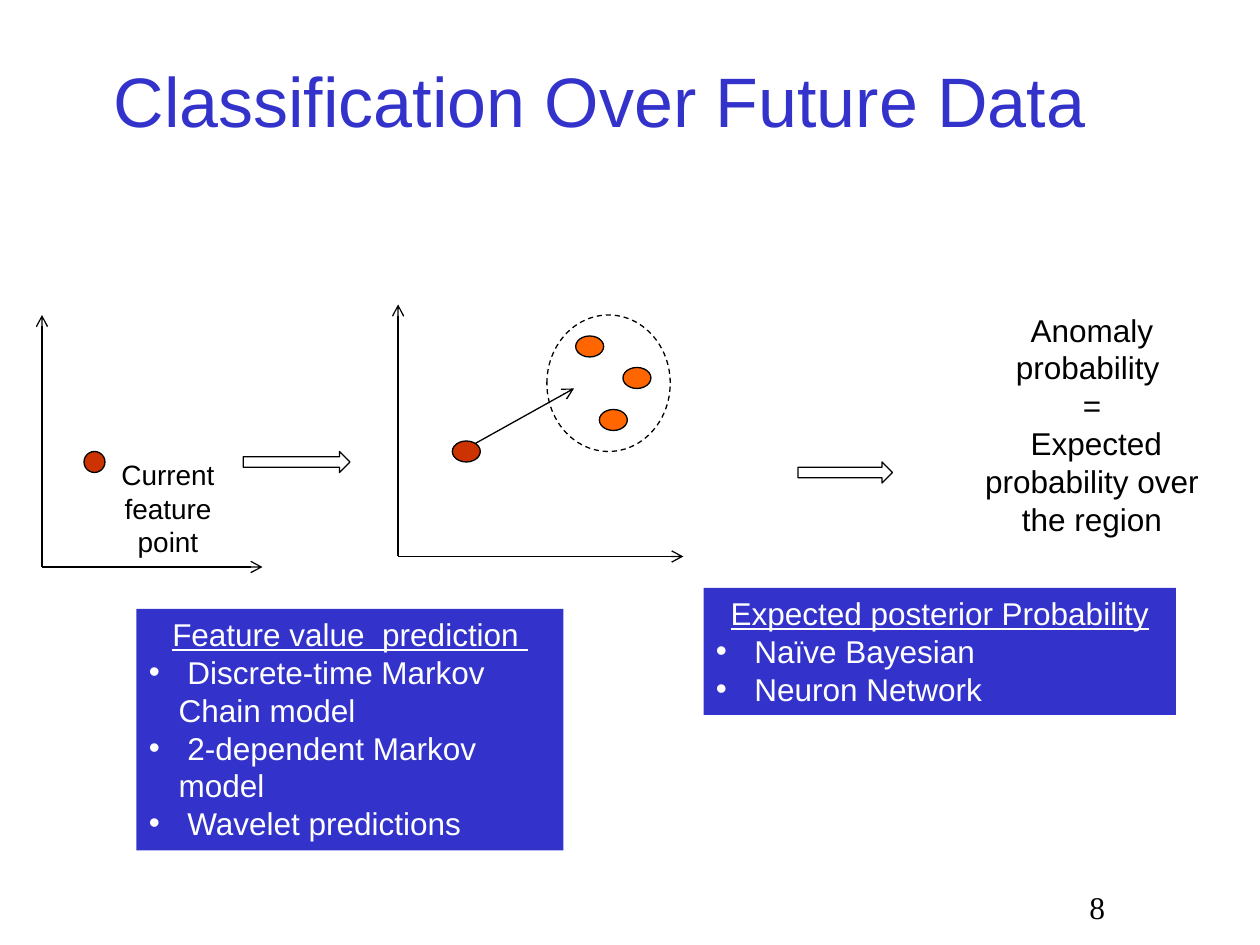
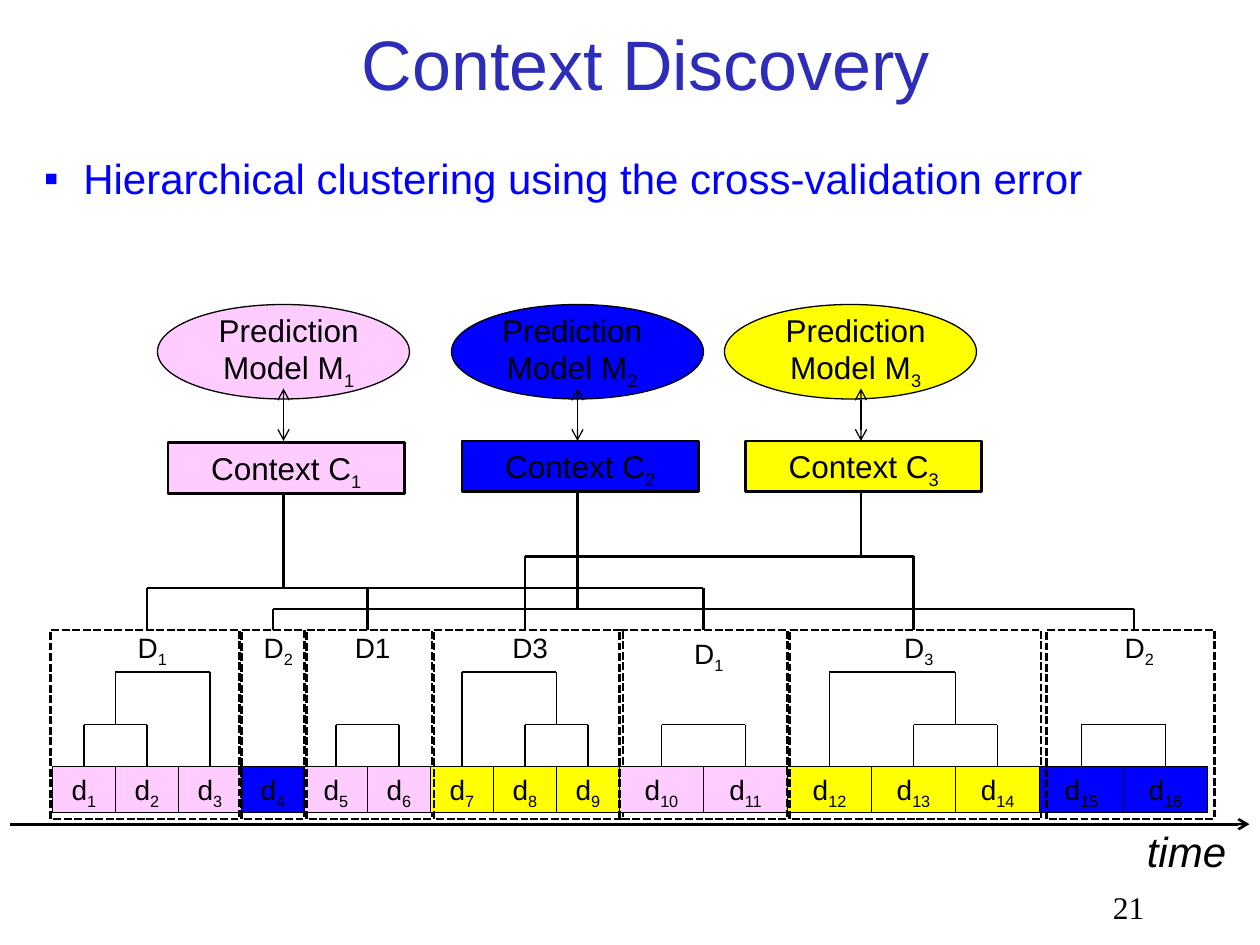
from lxml import etree
from pptx import Presentation
from pptx.dml.color import RGBColor
from pptx.enum.dml import MSO_LINE
from pptx.enum.shapes import MSO_CONNECTOR, MSO_SHAPE
from pptx.enum.text import MSO_ANCHOR, PP_ALIGN
from pptx.oxml.ns import qn
from pptx.util import Pt

RECTANGLE, ELLIPSE = MSO_SHAPE.RECTANGLE, MSO_SHAPE.OVAL
BLOCK_ARROW = MSO_SHAPE.RIGHT_ARROW
STRAIGHT = MSO_CONNECTOR.STRAIGHT
DASH, SHORT_DASH = MSO_LINE.DASH, MSO_LINE.SQUARE_DOT
LEFT, CENTER = PP_ALIGN.LEFT, PP_ALIGN.CENTER
TOP, MIDDLE = MSO_ANCHOR.TOP, MSO_ANCHOR.MIDDLE

BLACK = RGBColor(0x00, 0x00, 0x00)
WHITE = RGBColor(0xFF, 0xFF, 0xFF)
INDIGO = RGBColor(0x33, 0x33, 0xCC)
DARK_INDIGO = RGBColor(0x2D, 0x2D, 0xB9)
BLUE = RGBColor(0x00, 0x00, 0xFF)
PINK = RGBColor(0xFF, 0xCC, 0xFF)
YELLOW = RGBColor(0xFF, 0xFF, 0x00)
RED = RGBColor(0xCC, 0x33, 0x00)
ORANGE = RGBColor(0xFF, 0x66, 0x00)

BODY_FONT = "Arial"
NUMBER_FONT = "Times New Roman"
BULLETS = "•▪"


def add_box(page, bounds, texts=(), size=18, color=BLACK, kind=None, fill=None,
            line=None, dash=None, font=BODY_FONT, anchor=TOP, indent=17):
    """Add a shape, or a text box if kind is None.

    A text that starts with a bullet sign becomes a bullet; what follows "_" is subscript.
    """
    lengths = [Pt(value) for value in bounds]
    if kind is None:
        box = page.shapes.add_textbox(*lengths)
    else:
        box = page.shapes.add_shape(kind, *lengths)
        box.shadow.inherit = False
        if fill is None:
            box.fill.background()
        else:
            box.fill.solid()
            box.fill.fore_color.rgb = fill
        if line is None:
            box.line.fill.background()
        else:
            box.line.color.rgb = BLACK
            box.line.width = Pt(line)
        if dash is not None:
            box.line.dash_style = dash

    frame = box.text_frame
    frame.word_wrap = True
    frame.vertical_anchor = anchor
    for index, text in enumerate(texts):
        para = frame.paragraphs[0] if index == 0 else frame.add_paragraph()
        para.alignment = CENTER
        if text[0] in BULLETS:
            para.alignment = LEFT
            properties = para._p.get_or_add_pPr()
            properties.set("marL", str(Pt(indent)))
            properties.set("indent", str(-Pt(indent)))
            bullet_color = etree.SubElement(properties, qn("a:buClr"))
            etree.SubElement(bullet_color, qn("a:srgbClr"), val=str(color))
            etree.SubElement(properties, qn("a:buFont"), typeface=BODY_FONT)
            etree.SubElement(properties, qn("a:buChar"), char=text[0])
            text = text[1:]
        para.font.name = font
        para.font.size = Pt(size)
        para.font.color.rgb = color
        base, _, subscript = text.partition("_")
        para.add_run().text = base
        if subscript:
            span = para.add_run()
            span.text = subscript
            span._r.get_or_add_rPr().set("baseline", "-25000")
    return box


def add_line(page, x1, y1, x2, y2, width=0.75, arrows=()):
    """Add a line; arrows names its arrowheads, headEnd before tailEnd."""
    line = page.shapes.add_connector(STRAIGHT, Pt(x1), Pt(y1), Pt(x2), Pt(y2))
    line.line.color.rgb = BLACK
    line.line.width = Pt(width)
    outline = line.line._get_or_add_ln()
    for end in arrows:
        etree.SubElement(outline, qn(f"a:{end}"), type="arrow")
    etree.SubElement(line._element.spPr, qn("a:effectLst"))


deck = Presentation()
deck.slide_width, deck.slide_height = Pt(720), Pt(540)
blank = deck.slide_layouts[6]

# Titles and page numbers
pages = []
for title, title_bounds, title_color, number, number_left in (
    ("Classification Over Future Data", (18, 18, 649, 78), INDIGO, "8", 552),
    ("Context Discovery", (48, 0, 642, 72), DARK_INDIGO, "21", 570),
):
    page = deck.slides.add_slide(blank)
    add_box(page, title_bounds, [title], 40, title_color, anchor=MIDDLE)
    add_box(page, (number_left, 504, 150, 36), [number], font=NUMBER_FONT)
    pages.append(page)
future, discovery = pages

# Slide 1: feature space now and in the future
for origin_x, origin_y, axis_width in ((24, 324, 126), (227.5, 318, 163)):
    add_line(future, origin_x, origin_y, origin_x, origin_y - 144, arrows=["tailEnd"])
    add_line(future, origin_x, origin_y, origin_x + axis_width, origin_y, arrows=["tailEnd"])

add_box(future, (312.5, 180, 70.5, 78), kind=ELLIPSE, line=0.75, dash=DASH)
for left, top, width, point_color in (
    (48, 258, 12, RED),
    (258.5, 252, 16, RED),
    (329, 192, 16, ORANGE),
    (356, 210, 16, ORANGE),
    (342.5, 234, 16, ORANGE),
):
    add_box(future, (left, top, width, 12), kind=ELLIPSE, fill=point_color, line=0.75)
add_line(future, 271.5, 253.5, 328, 222, arrows=["tailEnd"])

for left, top, width in ((139, 258, 61), (456, 264, 54)):
    add_box(future, (left, top, width, 12), kind=BLOCK_ARROW, line=0.75)

add_box(future, (48, 258, 96, 65.5), ["Current feature point"], 16)
add_box(future, (552, 174, 144, 138),
        ["Anomaly probability ", "=", " Expected probability over the region"])

for bounds, texts in (
    ((78, 348, 244, 138), ["Feature value  prediction ", "• Discrete-time Markov Chain model",
                           "• 2-dependent Markov model", "• Wavelet predictions"]),
    ((402, 336, 270, 72.5), ["Expected posterior Probability", "• Naïve Bayesian",
                             "• Neuron Network"]),
):
    panel = add_box(future, bounds, texts, color=WHITE, kind=RECTANGLE, fill=INDIGO)
    panel.text_frame.paragraphs[0].font.underline = True

# Slide 2: contexts found by clustering segments along the time axis
statement = add_box(discovery, (18, 78, 660, 41),
                    ["▪Hierarchical clustering using the cross-validation error"],
                    24, BLUE, indent=22.5)
statement.text_frame.paragraphs[0].line_spacing = 1.2

CONTEXT_COLORS = (PINK, BLUE, YELLOW)
CELL_TOP, CELL_HEIGHT = 438, 26.5
PAIR_Y, TREE_Y, SEGMENT_TOP = 414, 384, 360

# Segments: context, leaf count, leaf width, outline left, label, label top, link x
segments = (
    (0, 3, 36, 29, "D_1", 357, 84),
    (1, 1, 36, 138, "D_2", 357, 156),
    (0, 2, 36, 175, "D1", 357, 210),
    (2, 3, 36, 248, "D3", 357, 300),
    (0, 2, 48, 354, "D_1", 360, 402),
    (2, 3, 48, 451, "D_3", 357, 522),
    (1, 2, 48, 598, "D_2", 357, 648),
)
cell_left, cell_number = 30, 1
for context, count, cell_width, outline_left, label, label_top, link_x in segments:
    centers = []
    for _ in range(count):
        add_box(discovery, (cell_left, CELL_TOP, cell_width, CELL_HEIGHT), [f"d_{cell_number}"],
                16, kind=RECTANGLE, fill=CONTEXT_COLORS[context], line=0.75)
        centers.append(cell_left + cell_width / 2)
        cell_left += cell_width
        cell_number += 1

    if count > 1:
        pair = centers[:2] if context == 0 else centers[-2:]
        for x in pair:
            add_line(discovery, x, PAIR_Y, x, CELL_TOP)
        add_line(discovery, pair[0], PAIR_Y, pair[1], PAIR_Y)
    if count == 3:
        single_x = centers[2] if context == 0 else centers[0]
        pair_x = sum(pair) / 2
        add_line(discovery, single_x, CELL_TOP, single_x, TREE_Y)
        add_line(discovery, pair_x, TREE_Y, pair_x, PAIR_Y)
        add_line(discovery, min(single_x, pair_x), TREE_Y, max(single_x, pair_x), TREE_Y)

    add_box(discovery, (outline_left, SEGMENT_TOP, count * cell_width, 108),
            kind=RECTANGLE, line=1.5, dash=SHORT_DASH)
    add_box(discovery, (link_x - 18, label_top, 42, 26.5), [label], 16)

# Contexts: stem x, bus y, box top, ellipse left, ellipse text left
contexts = (
    (162, 336, 253, 90, 114),
    (330, 348, 252, 258, 276),
    (492, 318, 252, 414, 438),
)
for index, (stem_x, bus_y, box_top, ellipse_left, text_left) in enumerate(contexts):
    color = CONTEXT_COLORS[index]
    links = [segment[-1] for segment in segments if segment[0] == index]
    for link_x in links:
        add_line(discovery, link_x, SEGMENT_TOP, link_x, bus_y, 1.5)
    add_line(discovery, links[0], bus_y, links[-1], bus_y, 1.5)
    add_line(discovery, stem_x, bus_y, stem_x, 282, 1.5)
    add_box(discovery, (stem_x - 66, box_top, 135, 29), [f"Context C_{index + 1}"],
            kind=RECTANGLE, fill=color, line=1.5)
    add_box(discovery, (ellipse_left, 174, 144, 54), kind=ELLIPSE, fill=color, line=0.75)
    add_box(discovery, (text_left, 174, 102, 51), ["Prediction", f"Model M_{index + 1}"])
    add_line(discovery, stem_x, 222, stem_x, 252, arrows=["headEnd", "tailEnd"])

add_line(discovery, 6, 471, 714, 471, 1.5, ["tailEnd"])
time_label = add_box(discovery, (636, 474, 84, 31.5), ["time"], 24)
time_label.text_frame.paragraphs[0].font.italic = True
time_label.text_frame.paragraphs[0].line_spacing = 0.8

deck.save("out.pptx")
